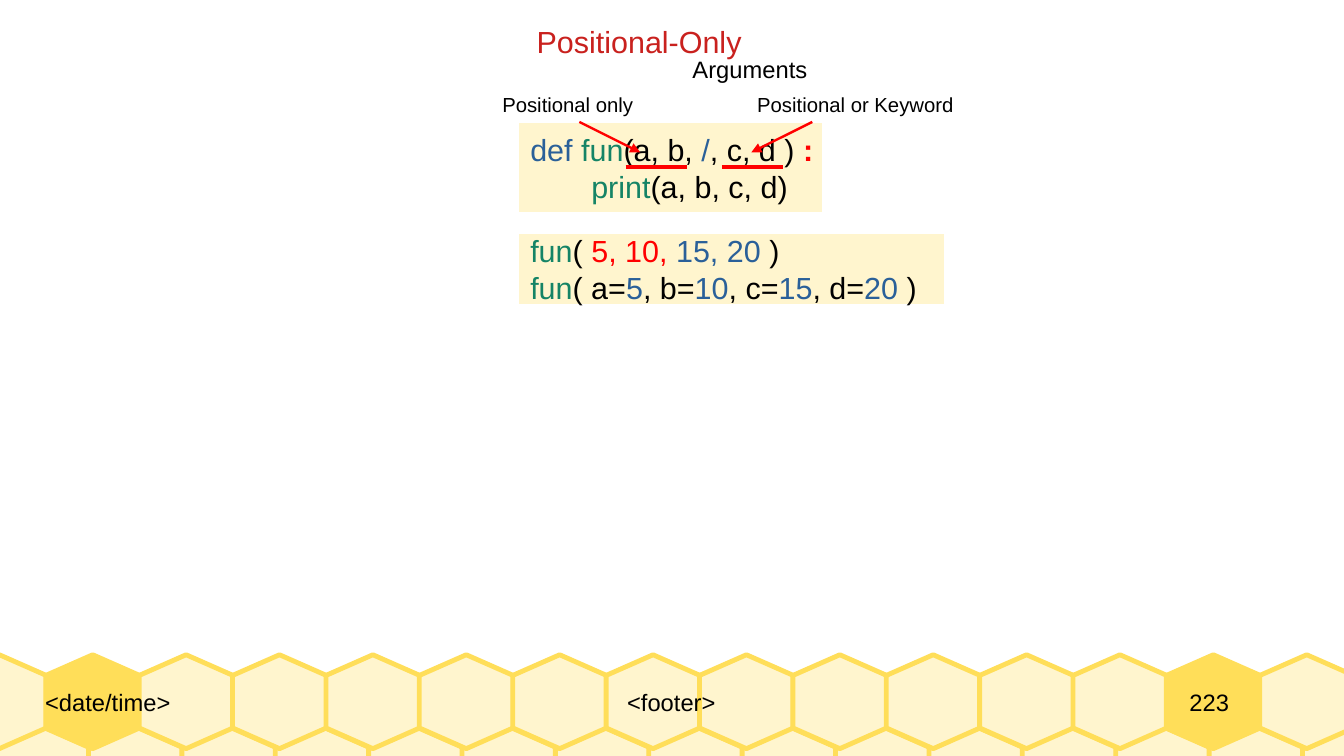
from dataclasses import dataclass
from lxml import etree
from pptx import Presentation
from pptx.dml.color import RGBColor as RGB
from pptx.enum.shapes import MSO_CONNECTOR as Link, MSO_SHAPE as Kind
from pptx.enum.text import MSO_ANCHOR as Anchor, MSO_AUTO_SIZE as Fit, PP_ALIGN as Align
from pptx.oxml.ns import qn
from pptx.util import Inches, Pt


@dataclass(frozen=True)
class Theme:
    font: str = "Arial"
    big: float = 18
    mid: float = 14
    small: float = 12
    black: str = "000000"
    white: str = "FFFFFF"
    title: str = "C9211E"
    red: str = "FF0000"
    blue: str = "2A6099"
    green: str = "158466"
    cream: str = "FFF5CE"
    gold: str = "FFDE59"
    thin: float = 1.42
    thick: float = 2.85


T = Theme()

# Content: each code line is a list of (text, colour) pieces
TITLE = "Positional-Only"
LABELS = [  # text, size, left, top, width, height
    ("Arguments", T.mid, 5.58, 0.4, 1.14, 0.32),
    ("Positional only", T.small, 4.02, 0.71, 1.28, 0.29),
    ("Positional or Keyword", T.small, 6.11, 0.71, 1.81, 0.29),
]
DEF = [
    [("def ", T.blue), ("fun", T.green), ("(a, b, ", T.black), ("/", T.blue),
     (", c, d ) ", T.black), (":", T.red)],
    [("\t", T.black), ("print", T.green), ("(a, b, c, d)", T.black)],
]
CALLS = [
    [("fun", T.green), ("( ", T.black), ("5, 10,", T.red),
     (" 15, 20 ", T.blue), (")", T.black)],
    [("fun", T.green), ("( a=", T.black), ("5", T.blue), (", b=", T.black),
     ("10", T.blue), (", c=", T.black), ("15", T.blue), (", d=", T.black),
     ("20", T.blue), (" )", T.black)],
]
PANELS = [(DEF, 1, 2.5, 0.75), (CALLS, 1.91, 3.5, 0.59)]  # lines, top, width, height
MARKS = [  # underline left, arrow start x, arrow end x
    (5.13, 4.75, 5.25),
    (5.92, 6.66, 6.16),
]
FOOT = [  # text, left, width, alignment
    ("<date/time>", 0.37, 2.63, Align.LEFT),
    ("<footer>", 3, 5.01, Align.CENTER),
    ("223", 9.29, 1.25, Align.CENTER),
]
ROWS = [(-0.04, 5.96, ()), (-0.39, 5.37, (1, 13))]  # left, top, gold cells
COUNT, SIDE, SLOPE = 15, 0.77, 0.17
PITCH = 10.72 / (COUNT - 1)


def style(run, size, color, bold=False):
    font = run.font
    font.name, font.size, font.bold = T.font, Pt(size), bold
    font.color.rgb = RGB.from_string(color)


def paint(shape, fill, edge, width):
    shape.shadow.inherit = False
    shape.fill.solid()
    shape.fill.fore_color.rgb = RGB.from_string(fill)
    shape.line.color.rgb = RGB.from_string(edge)
    shape.line.width = Pt(width)


def place(shape, *box):
    shape.left, shape.top, shape.width, shape.height = map(Inches, box)


def write(shape, text, size, color=T.black, align=Align.LEFT):
    frame = shape.text_frame
    frame.text = text
    frame.word_wrap = False
    frame.auto_size = Fit.NONE
    frame.vertical_anchor = Anchor.TOP
    para = frame.paragraphs[0]
    para.alignment = align
    style(para.runs[0], size, color)
    return frame


def label(slide, text, size, *box, align=Align.LEFT):
    shape = slide.shapes.add_textbox(*map(Inches, box))
    return write(shape, text, size, align=align)


def hexagon(slide, x, y, fill):
    mid, right, low = x + SIDE / 2, x + SIDE, y + SIDE
    points = [(mid, y), (x, y + SLOPE), (x, low - SLOPE), (mid, low),
              (right, low - SLOPE), (right, y + SLOPE)]
    points = [(Inches(a), Inches(b)) for a, b in points]
    path = slide.shapes.build_freeform(*points[0])
    path.add_line_segments(points[1:], close=True)
    paint(path.convert_to_shape(), fill, T.gold, T.thick)


def panel(slide, lines, top, width, height):
    shape = slide.shapes.add_shape(
        Kind.RECTANGLE, *map(Inches, (4.25, top, width, height)))
    paint(shape, T.cream, T.white, T.thin)
    frame = shape.text_frame
    frame.word_wrap = False
    frame.vertical_anchor = Anchor.MIDDLE
    for i, line in enumerate(lines):
        para = frame.add_paragraph() if i else frame.paragraphs[0]
        para.alignment = Align.LEFT
        for text, color in line:
            run = para.add_run()
            run.text = text
            style(run, T.big, color, bold=text == ":")


def stroke(slide, width, *ends, arrow=False):
    line = slide.shapes.add_connector(Link.STRAIGHT, *map(Inches, ends))
    line.line.color.rgb = RGB.from_string(T.red)
    line.line.width = Pt(width)
    if arrow:
        etree.SubElement(line.line._get_or_add_ln(), qn("a:tailEnd"), type="triangle")
    etree.SubElement(line._element.spPr, qn("a:effectLst"))


def main():
    deck = Presentation()
    deck.slide_width, deck.slide_height = Inches(11.02), Inches(6.2)
    slide = deck.slides.add_slide(deck.slide_layouts[5])

    # Honeycomb band
    for left, top, gold in ROWS:
        for i in range(COUNT):
            hexagon(slide, left + i * PITCH, top, T.gold if i in gold else T.cream)

    # Footer
    for text, left, width, align in FOOT:
        frame = label(slide, text, T.mid, left, 5.37, width, SIDE, align=align)
        frame.word_wrap = True
        frame.vertical_anchor = Anchor.MIDDLE
        frame.margin_left = frame.margin_right = 0
        frame.margin_top = frame.margin_bottom = 0

    # Title
    place(slide.shapes.title, 4.3, 0.14, 2.64, 0.38)
    write(slide.shapes.title, TITLE, T.big, T.title)

    # Code panels, then labels and marks on top
    for part in PANELS:
        panel(slide, *part)
    for part in LABELS:
        label(slide, *part)
    for left, start, end in MARKS:
        stroke(slide, T.thick, left, 1.37, left + 0.5, 1.37)
        stroke(slide, T.thin, start, 1, end, 1.25, arrow=True)

    deck.save("out.pptx")


if __name__ == "__main__":
    main()
